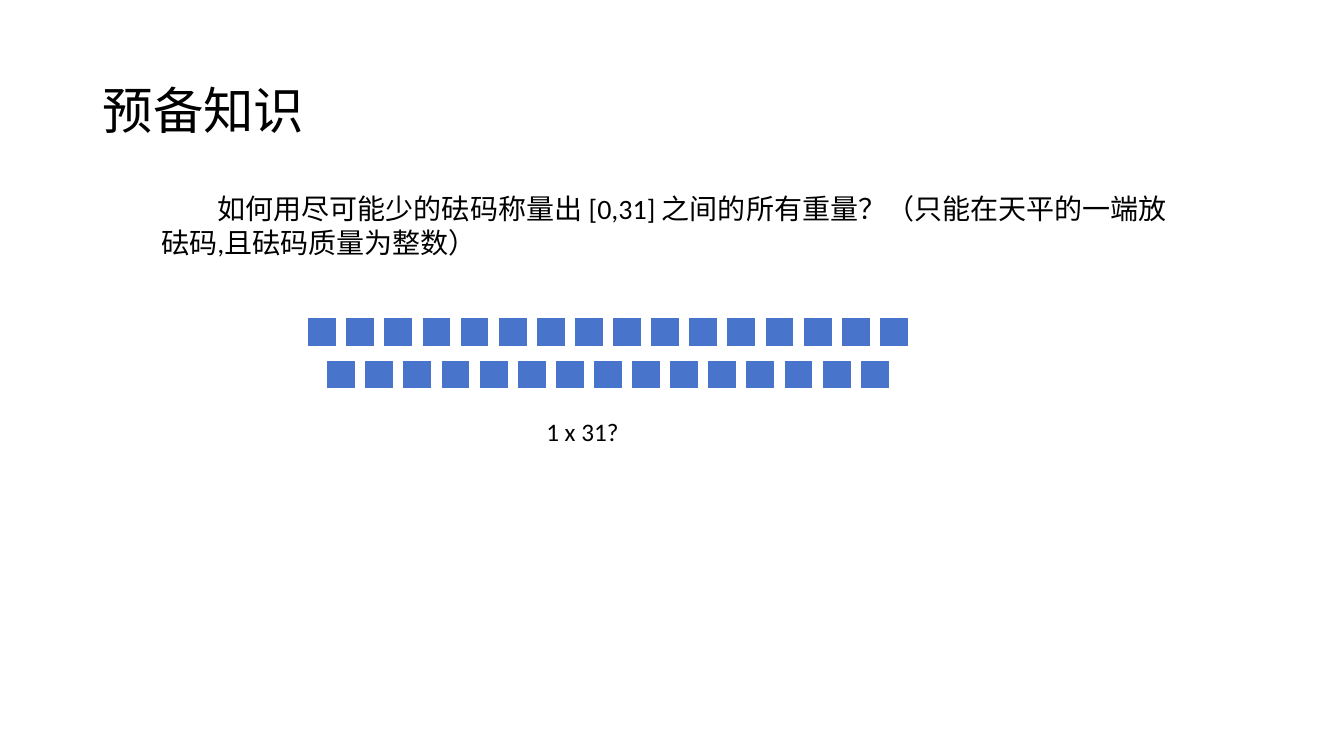
from pptx import Presentation
from pptx.dml.color import RGBColor
from pptx.enum import shapes, text
from pptx.util import Inches, Pt

BLACK = RGBColor(0x00, 0x00, 0x00)
WHITE = RGBColor(0xFF, 0xFF, 0xFF)
BLUE = RGBColor(0x48, 0x74, 0xCB)


class WeightSlide:
    font_name = "Calibri"

    def __init__(self, deck):
        self.slide = deck.slides.add_slide(deck.slide_layouts[6])

    def add_text(self, wording, left, top, width, height, size,
                 anchor=text.MSO_ANCHOR.TOP, spacing=1.0, indent=0):
        box = self.slide.shapes.add_textbox(
            Inches(left), Inches(top), Inches(width), Inches(height))
        frame = box.text_frame
        frame.word_wrap = True
        frame.vertical_anchor = anchor
        paragraph = frame.paragraphs[0]
        paragraph.text = wording
        paragraph.line_spacing = spacing
        paragraph.font.name = self.font_name
        paragraph.font.size = Pt(size)
        paragraph.font.color.rgb = BLACK
        if indent:
            paragraph._p.get_or_add_pPr().set("indent", str(Inches(indent)))

    def add_weight(self, left, top, side):
        weight = self.slide.shapes.add_shape(
            shapes.MSO_SHAPE.RECTANGLE,
            Inches(left), Inches(top), Inches(side), Inches(side))
        weight.shadow.inherit = False
        weight.fill.solid()
        weight.fill.fore_color.rgb = BLUE
        weight.line.color.rgb = WHITE
        weight.line.width = Pt(1)

    def add_weight_row(self, count, left, top, pitch, side=0.29):
        for index in range(count):
            self.add_weight(left + index * pitch, top, side)


def main():
    deck = Presentation()
    deck.slide_width = Inches(13.33)
    deck.slide_height = Inches(7.5)

    page = WeightSlide(deck)
    page.add_text("预备知识", 0.92, 0.4, 11.5, 1.45, 36,
                  anchor=text.MSO_ANCHOR.MIDDLE, spacing=0.9)
    page.add_text(
        "如何用尽可能少的砝码称量出 [0,31] 之间的所有重量？"
        "（只能在天平的一端放砝码,且砝码质量为整数）",
        1.5, 1.85, 10.33, 0.77, 20, indent=0.56)

    first_left, last_left, upper_count = 3.05, 8.72, 16
    pitch = (last_left - first_left) / (upper_count - 1)
    page.add_weight_row(upper_count, first_left, 3.15, pitch)
    page.add_weight_row(upper_count - 1, first_left + pitch / 2, 3.57, pitch)
    page.add_text("1 x 31?", 5.32, 4.08, 4.44, 0.4, 18)

    deck.save("out.pptx")


if __name__ == "__main__":
    main()
